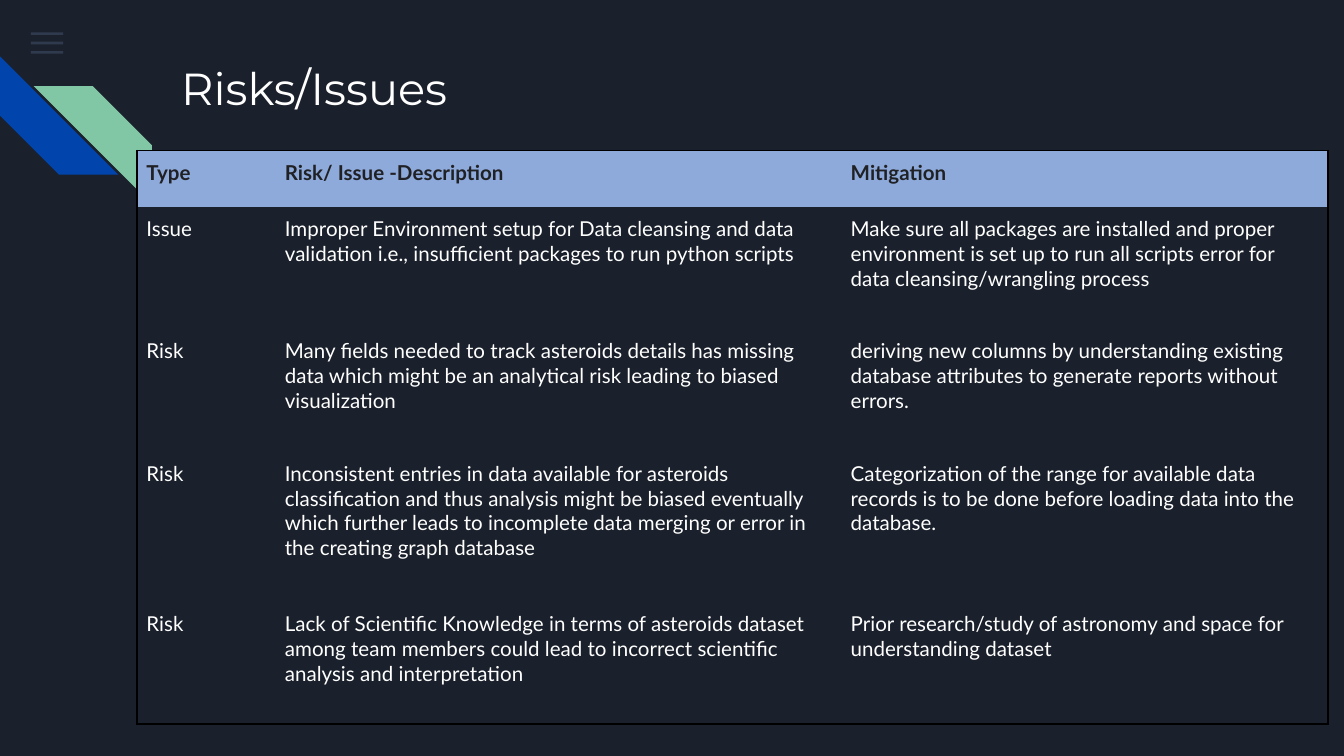
from pptx import Presentation
from pptx.dml.color import RGBColor
from pptx.enum.shapes import MSO_SHAPE as Preset
from pptx.enum.text import MSO_ANCHOR as Anchor
from pptx.oxml.ns import qn
from pptx.util import Inches, Pt
from lxml.etree import SubElement

COLORS = {
    "background": "1B212C",
    "menu": "55688B",
    "blue": "0145AC",
    "green": "82C7A5",
    "header": "8EAADB",
    "dark": "202124",
    "light": "FFFFFF",
    "border": "000000",
}

RISKS = [
    ("Type", "Risk/ Issue -Description", "Mitigation"),
    ("Issue",
     "Improper Environment setup for Data cleansing and data validation i.e., "
     "insufficient packages to run python scripts",
     "Make sure all packages are installed and proper environment is set up to "
     "run all scripts error for data cleansing/wrangling process"),
    ("Risk",
     "Many fields needed to track asteroids details has missing data which might "
     "be an analytical risk leading to biased visualization",
     "deriving new columns by understanding existing database attributes to "
     "generate reports without errors."),
    ("Risk",
     "Inconsistent entries in data available for asteroids classification and "
     "thus analysis might be biased eventually which further leads to incomplete "
     "data merging or error in the creating graph database",
     "Categorization of the range for available data records is to be done before "
     "loading data into the database."),
    ("Risk",
     "Lack of Scientific Knowledge in terms of asteroids dataset among team "
     "members could lead to incorrect scientific analysis and interpretation",
     "Prior research/study of astronomy and space for understanding dataset"),
]
COLUMN_WIDTHS = [1.03, 4.21, 3.62]
ROW_HEIGHTS = [0.42, 0.91, 0.91, 1.12, 0.91]


def rgb(name):
    return RGBColor.from_string(COLORS[name])


class RiskSlide:
    title_font = "Montserrat"
    body_font = "Lato"

    def __init__(self, slide):
        self.slide = slide
        fill = slide.background.fill
        fill.solid()
        fill.fore_color.rgb = rgb("background")

    def style(self, paragraph, font, size, color, bold=False):
        paragraph.font.name = font
        paragraph.font.size = Pt(size)
        paragraph.font.bold = bold
        paragraph.font.color.rgb = rgb(color)

    def shape(self, preset, left, top, width, height, color, rotation=0, alpha=None):
        """Add a borderless shape; alpha is its opacity in percent."""
        shape = self.slide.shapes.add_shape(
            preset, Inches(left), Inches(top), Inches(width), Inches(height))
        shape.shadow.inherit = False
        shape.rotation = rotation
        shape.line.fill.background()
        shape.fill.solid()
        shape.fill.fore_color.rgb = rgb(color)
        if alpha is not None:
            tint = shape.fill._xPr.find(".//" + qn("a:srgbClr"))
            SubElement(tint, qn("a:alpha"), val=str(alpha * 1000))
        return shape

    def stripe(self, left, top, color, rotation):
        stripe = self.shape(Preset.DIAGONAL_STRIPE, left, top, 0.88, 0.88,
                            color, rotation)
        stripe.adjustments[0] = 0.5

    def title(self, text, left, top, width, height):
        frame = self.slide.shapes.add_textbox(
            Inches(left), Inches(top), Inches(width), Inches(height)).text_frame
        frame.word_wrap = True
        frame.margin_left = frame.margin_right = Inches(0.1)
        frame.margin_top = frame.margin_bottom = Inches(0.1)
        frame.text = text
        self.style(frame.paragraphs[0], self.title_font, 24, "light")

    def borders(self, cell, outer_sides):
        """Draw the cell's outer sides and hide the others."""
        properties = cell._tc.get_or_add_tcPr()
        for side in "LRTB":
            line = SubElement(properties, qn(f"a:ln{side}"), w=str(Pt(1)))
            if side in outer_sides:
                solid = SubElement(line, qn("a:solidFill"))
                SubElement(solid, qn("a:srgbClr"), val=COLORS["border"])
            else:
                SubElement(line, qn("a:noFill"))

    def cell(self, cell, text, is_header, outer_sides):
        self.borders(cell, outer_sides)
        if is_header:
            cell.fill.solid()
            cell.fill.fore_color.rgb = rgb("header")
        else:
            cell.fill.background()
        cell.margin_left = cell.margin_right = Inches(0.07)
        cell.margin_top = cell.margin_bottom = Inches(0.07)
        cell.vertical_anchor = Anchor.TOP
        cell.text = text
        self.style(cell.text_frame.paragraphs[0], self.body_font, 11,
                   "dark" if is_header else "light", is_header)

    def table(self, rows, left, top, widths, heights):
        table = self.slide.shapes.add_table(
            len(heights), len(widths), Inches(left), Inches(top),
            Inches(sum(widths)), Inches(sum(heights))).table
        table.horz_banding = False
        for column, width in zip(table.columns, widths):
            column.width = Inches(width)
        for row, height in zip(table.rows, heights):
            row.height = Inches(height)
        last_row, last_column = len(heights) - 1, len(widths) - 1
        for r, texts in enumerate(rows):
            for c, text in enumerate(texts):
                edges = {"L": c == 0, "R": c == last_column,
                         "T": r == 0, "B": r == last_row}
                outer_sides = [side for side, outer in edges.items() if outer]
                self.cell(table.cell(r, c), text, r == 0, outer_sides)


def main():
    deck = Presentation()
    deck.slide_width = Inches(10)
    deck.slide_height = deck.slide_width * 9 // 16
    risks = RiskSlide(deck.slides.add_slide(deck.slide_layouts[6]))

    for i in range(3):
        risks.shape(Preset.RECTANGLE, 0.23, 0.24 + i * 0.07, 0.24, 0.02,
                    "menu", alpha=36)
    risks.stripe(0, 0.42, "blue", rotation=270)
    risks.stripe(0.25, 0.64, "green", rotation=90)
    risks.title("Risks/Issues", 1.25, 0.35, 7.7, 1)
    risks.table(RISKS, 1.02, 1.12, COLUMN_WIDTHS, ROW_HEIGHTS)

    deck.save("out.pptx")


if __name__ == "__main__":
    main()
